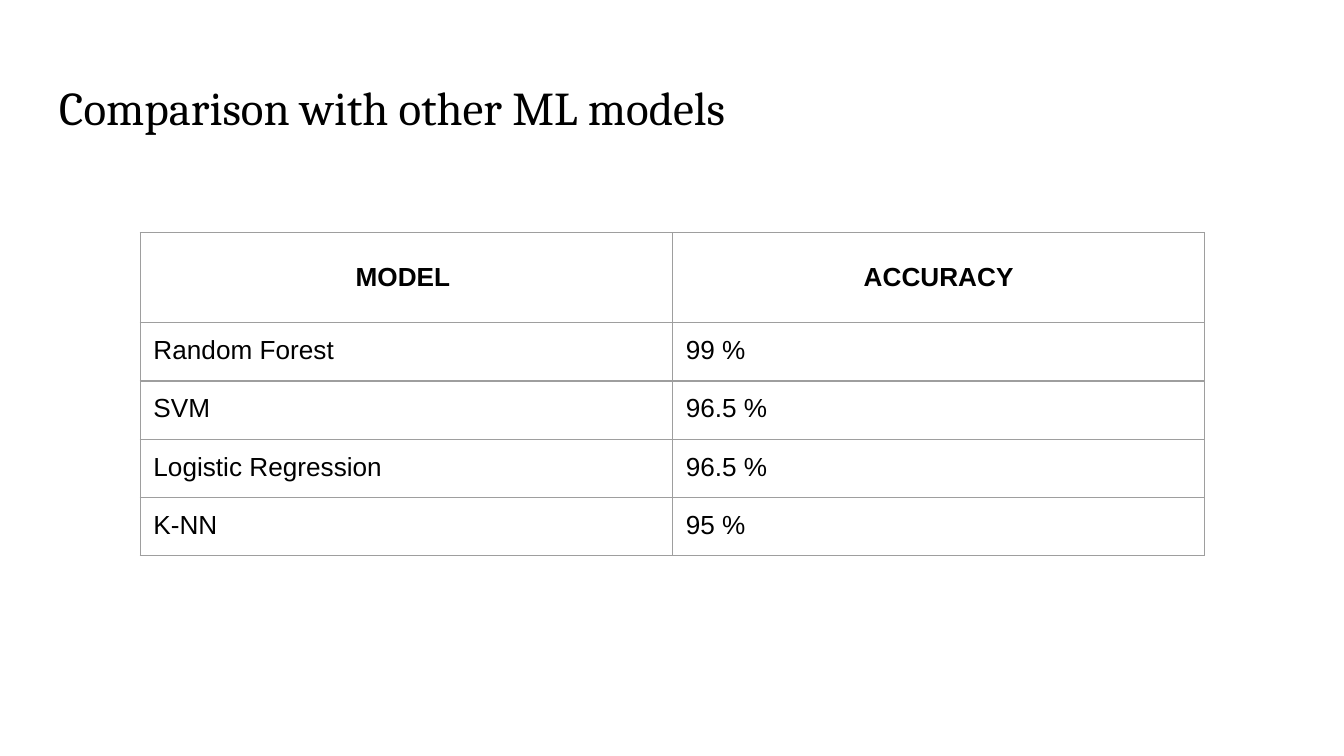
from dataclasses import dataclass

from lxml.etree import SubElement
from pptx import Presentation
from pptx.dml.color import RGBColor
from pptx.enum.text import MSO_ANCHOR, PP_ALIGN
from pptx.oxml.ns import qn
from pptx.slide import Slide
from pptx.table import _Cell
from pptx.text.text import TextFrame
from pptx.util import Cm, Pt


@dataclass(frozen=True)
class Theme:
    ink: str = "000000"
    rule: str = "9E9E9E"
    line: float = 0.75
    serif: str = "Cambria"
    sans: str = "Arial"
    head: float = 25.2
    body: float = 14


@dataclass(frozen=True)
class Score:
    model: str
    rate: str


THEME = Theme()
PAD = Cm(0.25)
LABELS = Score("MODEL ", "ACCURACY")
SCORES = [
    Score("Random Forest", "99 %"),
    Score("SVM", "96.5 %"),
    Score("Logistic Regression", "96.5 %"),
    Score("K-NN", "95 %"),
]


def write(frame: TextFrame, text: str, font: str, size: float,
          bold: bool = False, align: PP_ALIGN = PP_ALIGN.LEFT) -> None:
    para = frame.paragraphs[0]
    para.alignment = align
    run = para.add_run()
    run.text = text
    run.font.name = font
    run.font.size = Pt(size)
    run.font.bold = bold
    run.font.color.rgb = RGBColor.from_string(THEME.ink)


def inset(box: TextFrame | _Cell) -> None:
    """Give a text frame or cell the same padding on every side."""
    box.margin_left = box.margin_right = PAD
    box.margin_top = box.margin_bottom = PAD


def border(cell: _Cell) -> None:
    props = cell._tc.get_or_add_tcPr()
    for side in ("lnL", "lnR", "lnT", "lnB"):
        line = SubElement(props, qn(f"a:{side}"), w=str(Pt(THEME.line)))
        fill = SubElement(line, qn("a:solidFill"))
        SubElement(fill, qn("a:srgbClr"), val=THEME.rule)


def add_title(slide: Slide, text: str) -> None:
    box = slide.shapes.add_textbox(Cm(0.87), Cm(1.24), Cm(23.67), Cm(1.6))
    frame = box.text_frame
    frame.word_wrap = True
    inset(frame)
    write(frame, text, THEME.serif, THEME.head)


def add_scores(slide: Slide, labels: Score, scores: list[Score]) -> None:
    tall, high, wide = Cm(1.7), Cm(1.1), Cm(10.06)
    rows = [labels, *scores]
    shape = slide.shapes.add_table(len(rows), 2, Cm(2.65), Cm(4.4),
                                   2 * wide, tall + high * len(scores))
    table = shape.table
    for col in table.columns:
        col.width = wide
    for i, score in enumerate(rows):
        top = i == 0
        table.rows[i].height = tall if top else high
        for j, text in enumerate((score.model, score.rate)):
            cell = table.cell(i, j)
            inset(cell)
            cell.vertical_anchor = MSO_ANCHOR.MIDDLE if top else MSO_ANCHOR.TOP
            border(cell)
            cell.fill.background()
            write(cell.text_frame, text, THEME.sans, THEME.body, top,
                  PP_ALIGN.CENTER if top else PP_ALIGN.LEFT)


def main() -> None:
    deck = Presentation()
    deck.slide_width, deck.slide_height = Cm(25.4), Cm(14.29)
    slide = deck.slides.add_slide(deck.slide_layouts[6])
    add_title(slide, "Comparison with other ML models")
    add_scores(slide, LABELS, SCORES)
    deck.save("out.pptx")


if __name__ == "__main__":
    main()
